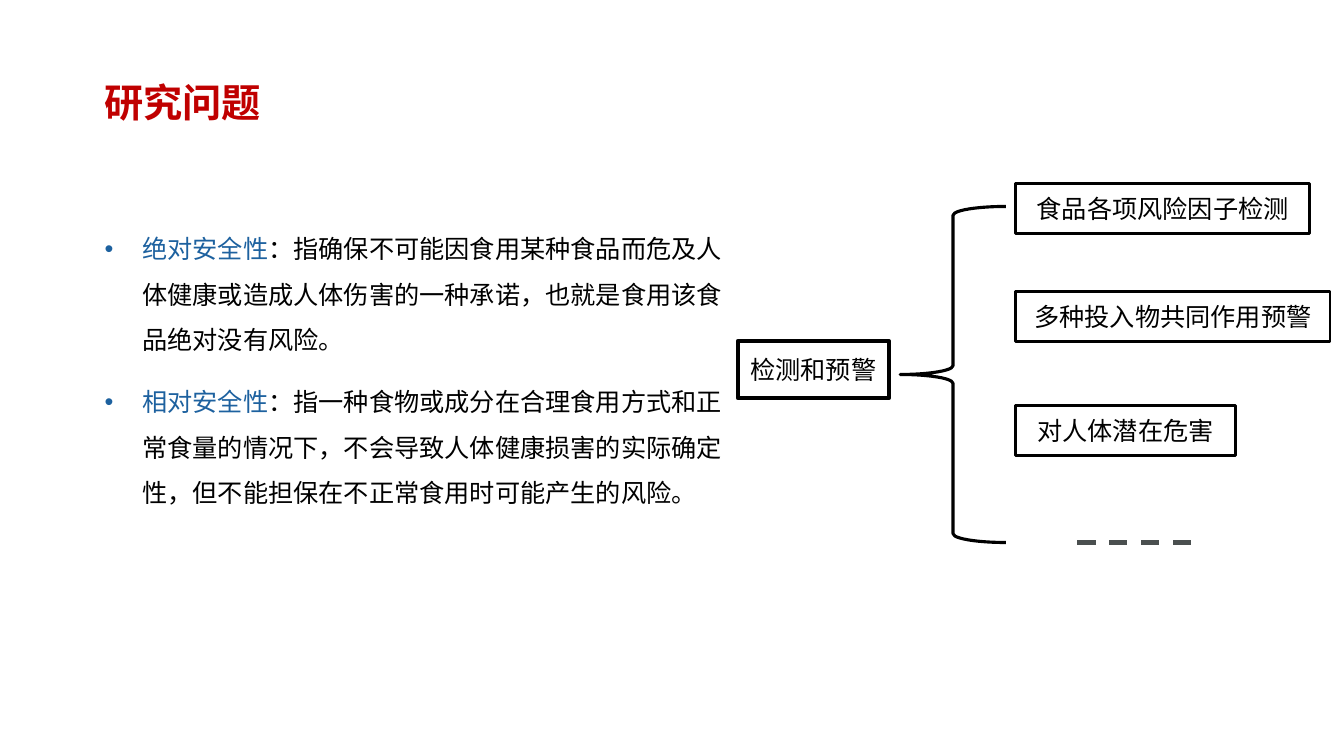
from lxml import etree
from pptx import Presentation
from pptx.dml.color import RGBColor
from pptx.enum.dml import MSO_LINE
from pptx.enum.shapes import MSO_CONNECTOR, MSO_SHAPE
from pptx.enum.text import MSO_ANCHOR, MSO_AUTO_SIZE, PP_ALIGN
from pptx.oxml.ns import qn
from pptx.util import Pt

DASH = MSO_LINE.DASH
STRAIGHT = MSO_CONNECTOR.STRAIGHT
RECTANGLE, LEFT_BRACE = MSO_SHAPE.RECTANGLE, MSO_SHAPE.LEFT_BRACE
TOP, MIDDLE = MSO_ANCHOR.TOP, MSO_ANCHOR.MIDDLE
LEFT, CENTER = PP_ALIGN.LEFT, PP_ALIGN.CENTER
NO_AUTOFIT = MSO_AUTO_SIZE.NONE

CHINESE_FONT = "Noto Sans CJK SC"
BLACK, WHITE, RED, BLUE, GRAY = "000000", "FFFFFF", "C00000", "1D619F", "4A4F4F"

DEFINITIONS = [
    ("绝对安全性", "：指确保不可能因食用某种食品而危及人体健康或造成人体伤害的一种承诺，"
                   "也就是食用该食品绝对没有风险。"),
    ("相对安全性", "：指一种食物或成分在合理食用方式和正常食量的情况下，"
                   "不会导致人体健康损害的实际确定性，但不能担保在不正常食用时可能产生的风险。"),
]
# Text, top and width of each box to the right of the brace
BRANCHES = [
    ("食品各项风险因子检测", 131, 210),
    ("多种投入物共同作用预警", 208, 224.5),
    ("对人体潜在危害", 289.5, 157),
]
BRANCH_LEFT, BRANCH_HEIGHT = 725.5, 36


def color(hex_string):
    return RGBColor.from_string(hex_string)


def set_font(paragraph, name, size, hex_color, bold=False):
    font = paragraph.font
    font.name, font.size, font.bold = name, Pt(size), bold
    font.color.rgb = color(hex_color)
    properties = paragraph._p.pPr.find(qn("a:defRPr"))
    east_asian = etree.Element(qn("a:ea"), typeface=CHINESE_FONT)
    properties.find(qn("a:latin")).addnext(east_asian)


def place(shape, left, top, width, height):
    shape.left, shape.top = Pt(left), Pt(top)
    shape.width, shape.height = Pt(width), Pt(height)
    frame = shape.text_frame
    frame.word_wrap, frame.auto_size = True, NO_AUTOFIT
    frame.vertical_anchor = TOP
    return frame


def set_title(slide, text):
    frame = place(slide.shapes.title, 67.5, 42.5, 137.5, 51)
    frame.text = text
    paragraph = frame.paragraphs[0]
    paragraph.alignment, paragraph.line_spacing = LEFT, 1.3
    set_font(paragraph, CHINESE_FONT, 28, RED, bold=True)


def set_definitions(slide, definitions):
    frame = place(slide.placeholders[1], 67.5, 152.5, 459.5, 256.5)
    for index, (term, meaning) in enumerate(definitions):
        paragraph = frame.add_paragraph() if index else frame.paragraphs[0]
        paragraph.line_spacing = 1.5
        paragraph.space_before, paragraph.space_after = Pt(0), Pt(12)
        properties = paragraph._p.get_or_add_pPr()
        properties.set("marL", str(Pt(27)))
        properties.set("indent", str(Pt(-27)))
        set_font(paragraph, CHINESE_FONT, 18, BLACK)
        term_run = paragraph.add_run()
        term_run.text = term
        term_run.font.color.rgb = color(BLUE)
        paragraph.add_run().text = meaning


def add_outlined(slide, kind, left, top, width, height, line_width):
    shape = slide.shapes.add_shape(kind, Pt(left), Pt(top), Pt(width), Pt(height))
    shape.shadow.inherit = False
    shape.line.color.rgb = color(BLACK)
    shape.line.width = Pt(line_width)
    return shape


def add_box(slide, text, left, top, width, height, line_width):
    box = add_outlined(slide, RECTANGLE, left, top, width, height, line_width)
    box.fill.solid()
    box.fill.fore_color.rgb = color(WHITE)
    frame = box.text_frame
    frame.word_wrap, frame.vertical_anchor = True, MIDDLE
    frame.text = text
    paragraph = frame.paragraphs[0]
    paragraph.alignment = CENTER
    set_font(paragraph, "Arial", 18, BLACK)


def add_dashed_line(slide, left, right, y):
    connector = slide.shapes.add_connector(STRAIGHT, Pt(left), Pt(y), Pt(right), Pt(y))
    connector.line.color.rgb = color(GRAY)
    connector.line.width = Pt(3.25)
    connector.line.dash_style = DASH
    etree.SubElement(connector._element.spPr, qn("a:effectLst"))


def main():
    presentation = Presentation()
    presentation.slide_width, presentation.slide_height = Pt(960), Pt(540)
    slide = presentation.slides.add_slide(presentation.slide_layouts[1])
    set_title(slide, "研究问题")
    set_definitions(slide, DEFINITIONS)
    brace = add_outlined(slide, LEFT_BRACE, 643, 147.5, 75.5, 240, 2.25)
    brace.fill.background()
    add_box(slide, "检测和预警", 527, 243.5, 108, 41, 2.75)
    for text, top, width in BRANCHES:
        add_box(slide, text, BRANCH_LEFT, top, width, BRANCH_HEIGHT, 2)
    add_dashed_line(slide, 769.5, 854, 387.5)
    presentation.save("out.pptx")


if __name__ == "__main__":
    main()
